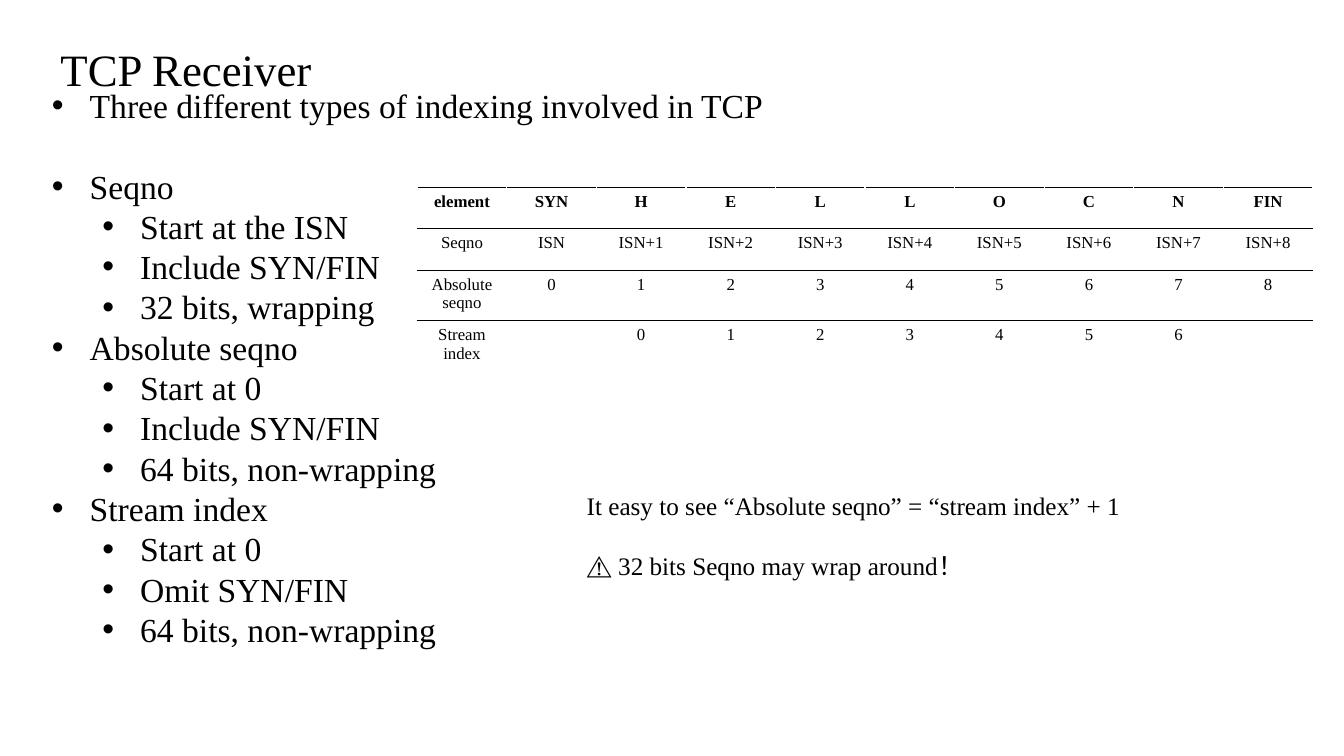
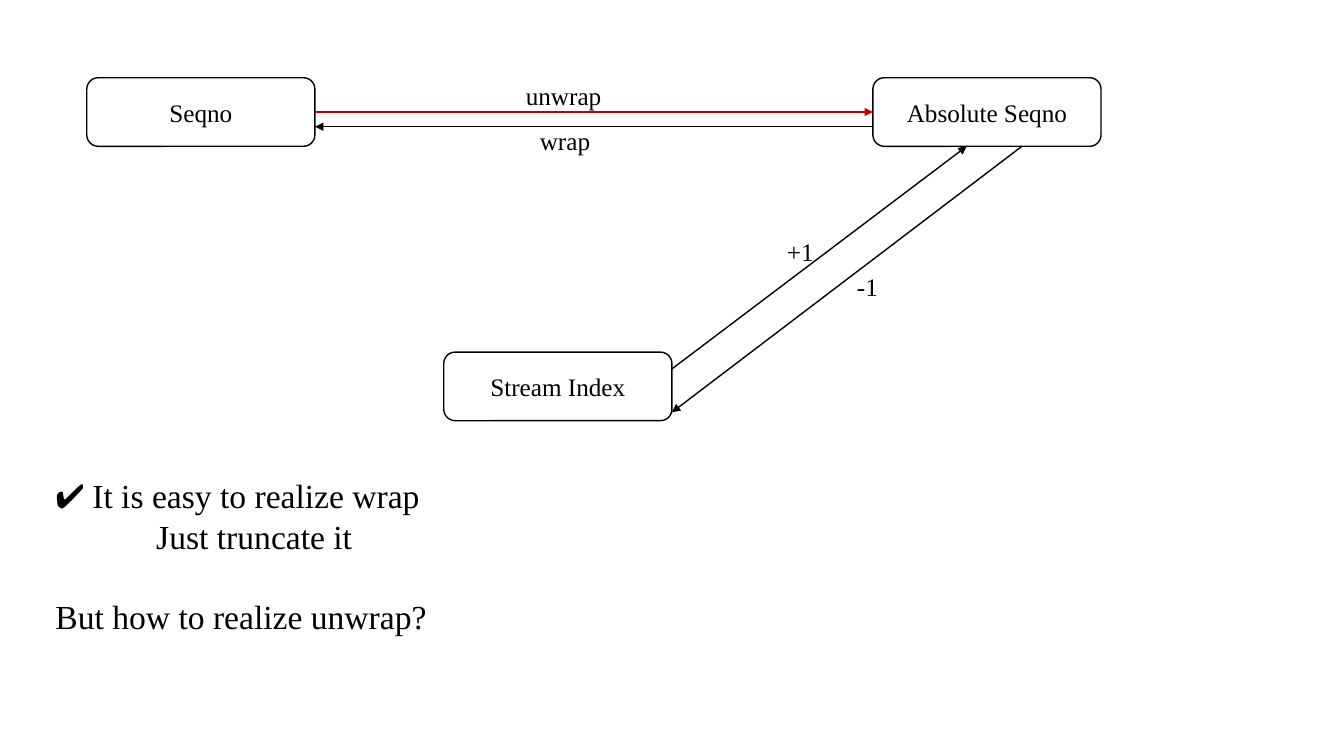
import lxml.etree
import pptx
import pptx.dml.color
import pptx.enum.shapes
import pptx.enum.text
import pptx.oxml
import pptx.oxml.ns
import pptx.util

Pt = pptx.util.Pt
color = pptx.dml.color.RGBColor.from_string
qn = pptx.oxml.ns.qn
CENTER = pptx.enum.text.PP_ALIGN.CENTER
SERIF, SYMBOLS = "Times New Roman", "Noto Sans CJK SC"
BLACK, WHITE, RED = "000000", "FFFFFF", "C00000"
LINE_HEIGHT = 1.2
HANGING = 27


def write(para, text, size=18, font=SERIF, bold=False, align=None,
          indent=0, bullet=False, blank_before=0, fixed_height=True):
    """Add a span of text to para and format both."""
    span = para.add_run()
    span.text = text
    span.font.name = font
    span.font.size = Pt(size)
    span.font.bold = bold
    span.font.color.rgb = color(BLACK)
    para.alignment = align
    if fixed_height:
        para.line_spacing = Pt(size * LINE_HEIGHT)
    if blank_before:
        para.space_before = Pt(blank_before * size * LINE_HEIGHT)
    properties = para._p.get_or_add_pPr()
    if indent:
        properties.set("marL", str(Pt(indent)))
    if bullet:
        properties.set("indent", str(Pt(-HANGING)))
        lxml.etree.SubElement(properties, qn("a:buFont"), typeface="Arial")
        lxml.etree.SubElement(properties, qn("a:buChar"), char="•")


def add_text_frame(page, left, top, width, height):
    frame = page.shapes.add_textbox(Pt(left), Pt(top), Pt(width), Pt(height)).text_frame
    frame.word_wrap = True
    return frame


deck = pptx.Presentation()
deck.slide_width, deck.slide_height = Pt(960), Pt(540)
TITLE_ONLY, BLANK = deck.slide_layouts[5], deck.slide_layouts[6]

# Slide 1: the three kinds of index
page = deck.slides.add_slide(TITLE_ONLY)
title = page.shapes.title
title.left, title.top, title.width, title.height = Pt(36), Pt(26), Pt(597), Pt(46)
title.text_frame.vertical_anchor = pptx.enum.text.MSO_ANCHOR.TOP
title.text_frame.auto_size = pptx.enum.text.MSO_AUTO_SIZE.NONE
write(title.text_frame.paragraphs[0], "TCP Receiver", size=32,
      align=pptx.enum.text.PP_ALIGN.LEFT)

index_kinds = {
    "Seqno": ["Start at the ISN", "Include SYN/FIN", "32 bits, wrapping"],
    "Absolute seqno": ["Start at 0", "Include SYN/FIN", "64 bits, non-wrapping"],
    "Stream index": ["Start at 0", "Omit SYN/FIN", "64 bits, non-wrapping"],
}
frame = add_text_frame(page, 30, 57, 536.5, 472.5)
write(frame.paragraphs[0], "Three different types of indexing involved in TCP",
      size=24, indent=HANGING, bullet=True)
for kind, features in index_kinds.items():
    write(frame.add_paragraph(), kind, size=24, indent=HANGING, bullet=True,
          blank_before=1 if kind == "Seqno" else 0)
    for feature in features:
        para = frame.add_paragraph()
        para.level = 1
        write(para, feature, size=24, indent=36 + HANGING, bullet=True)

rows = [
    ["element", "SYN", *"HELLOCN", "FIN"],
    ["Seqno", "ISN", *(f"ISN+{number}" for number in range(1, 9))],
    ["Absolute seqno", *(str(number) for number in range(9))],
    ["Stream index", "", *(str(number) for number in range(7)), ""],
]
table = page.shapes.add_table(len(rows), len(rows[0]), Pt(298), Pt(134),
                              Pt(640), Pt(118)).table
table.first_row = table.horz_banding = False
for row_index, texts in enumerate(rows):
    table.rows[row_index].height = Pt(29.5)
    borders = {"lnL": WHITE, "lnR": WHITE, "lnT": BLACK, "lnB": BLACK}
    if row_index == len(rows) - 1:
        del borders["lnB"]
    for column_index, text in enumerate(texts):
        cell = table.cell(row_index, column_index)
        properties = cell._tc.get_or_add_tcPr()
        for side, line_color in borders.items():
            border = lxml.etree.SubElement(properties, qn(f"a:{side}"), w=str(Pt(1)))
            fill = lxml.etree.SubElement(border, qn("a:solidFill"))
            lxml.etree.SubElement(fill, qn("a:srgbClr"), val=line_color)
        cell.fill.solid()
        cell.fill.fore_color.rgb = color(WHITE)
        if text:
            write(cell.text_frame.paragraphs[0], text, size=12, bold=row_index == 0,
                  align=CENTER, fixed_height=False)

frame = add_text_frame(page, 412, 346.5, 480, 72.5)
write(frame.paragraphs[0], "It easy to see “Absolute seqno” = “stream index” + 1")
write(frame.add_paragraph(), "⚠ 32 bits Seqno may wrap around！", blank_before=1)

# Slide 2: conversions between the indexes
page = deck.slides.add_slide(BLANK)
frame = add_text_frame(page, 32.5, 336, 572.5, 124)
write(frame.paragraphs[0], "✔ ", size=24, font=SYMBOLS)
write(frame.paragraphs[0], "It is easy to realize wrap", size=24)
write(frame.add_paragraph(), "Just truncate it", size=24, indent=72)
write(frame.add_paragraph(), "But how to realize unwrap?", size=24, blank_before=1)

boxes = {}
for name, left, top in [("Seqno", 62, 55.5), ("Absolute Seqno", 623.5, 55.5),
                        ("Stream Index", 317, 251.5)]:
    box = page.shapes.add_shape(pptx.enum.shapes.MSO_SHAPE.ROUNDED_RECTANGLE,
                                Pt(left), Pt(top), Pt(163), Pt(49))
    box.shadow.inherit = False
    box.fill.solid()
    box.fill.fore_color.rgb = color(WHITE)
    box.line.color.rgb = color(BLACK)
    box.line.width = Pt(1)
    box.text_frame.vertical_anchor = pptx.enum.text.MSO_ANCHOR.MIDDLE
    write(box.text_frame.paragraphs[0], name, align=CENTER)
    boxes[name] = box

# Label, its left and top, then the arrow's start, end and colour
conversions = [
    ("unwrap", 368.5, 53.5, (225, 80), (623.5, 80), RED),
    ("wrap", 378.5, 86, (623.5, 90.5), (225, 90.5), BLACK),
    ("+1", 555, 165, (480, 263.5), (690.5, 104.5), BLACK),
    ("-1", 605, 190, (730, 104.5), (480, 294.5), BLACK),
]
for label, left, top, start, end, line_color in conversions:
    arrow = page.shapes.add_connector(pptx.enum.shapes.MSO_CONNECTOR.STRAIGHT,
                                      *map(Pt, start + end))
    arrow.line.color.rgb = color(line_color)
    arrow.line.width = Pt(1)
    lxml.etree.SubElement(arrow.line._get_or_add_ln(), qn("a:tailEnd"), type="triangle")
    lxml.etree.SubElement(arrow._element.spPr, qn("a:effectLst"))
    if label == "unwrap":
        arrow.begin_connect(boxes["Seqno"], 3)
        arrow.end_connect(boxes["Absolute Seqno"], 1)
    write(add_text_frame(page, left, top, 110, 29).paragraphs[0], label)

deck.save("out.pptx")
